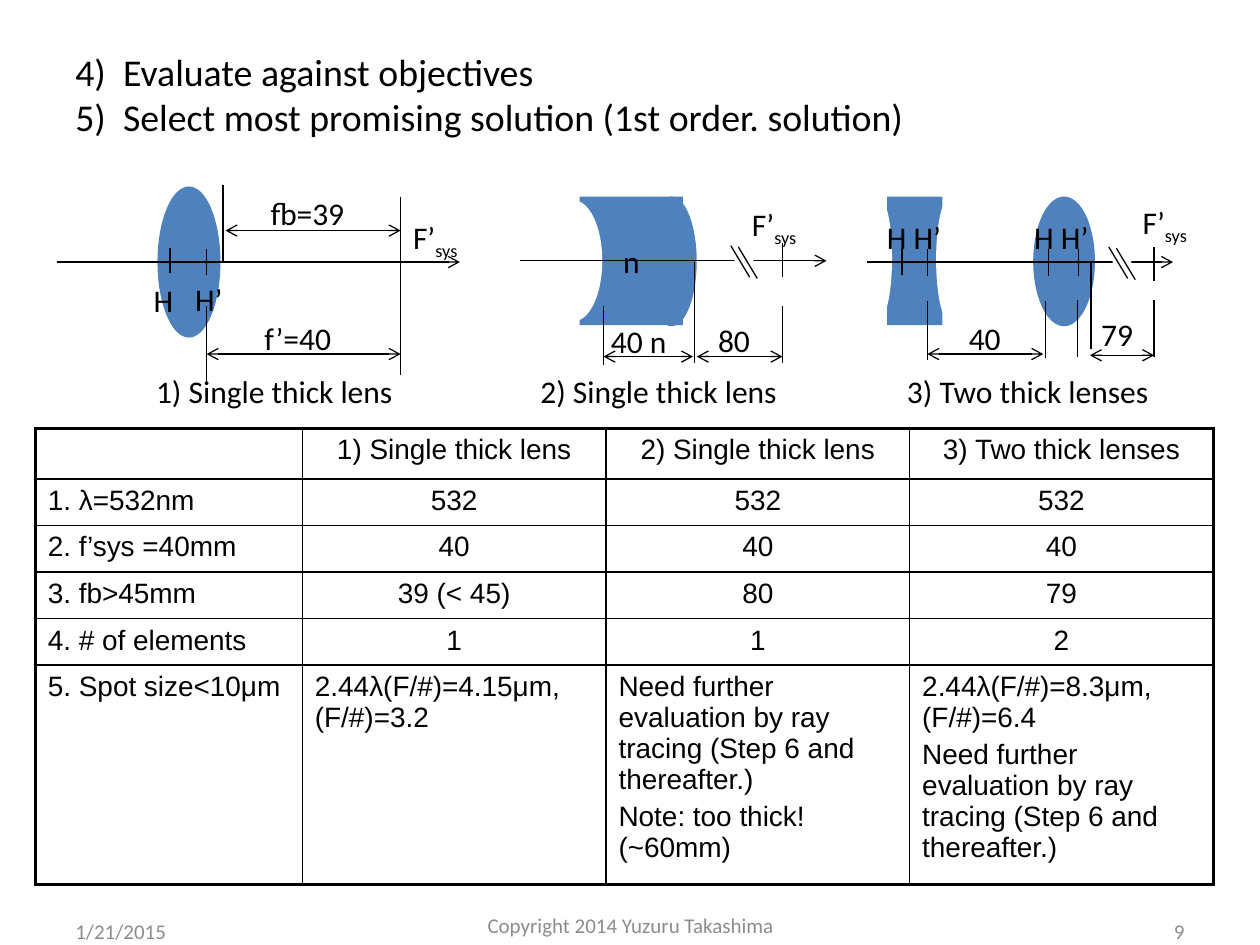
from lxml.etree import SubElement
from pptx import Presentation
from pptx.dml.color import RGBColor
from pptx.enum.shapes import MSO_CONNECTOR as CONN, MSO_SHAPE as SHAPE
from pptx.enum.text import MSO_ANCHOR as ANCHOR, PP_ALIGN as ALIGN
from pptx.oxml.ns import qn
from pptx.util import Inches, Pt

BLACK, WHITE, BLUE, GRAY = "000000", "FFFFFF", "4F81BD", "8C8C8C"
F_SYS = [("F’", 0), ("sys", -25000)]

LENSES = [
    (SHAPE.OVAL, 1.25, 1.48, 0.5, 1.2, BLUE),
    (SHAPE.OVAL, 5.13, 1.56, 0.4, 1.03, BLUE),
    (SHAPE.RECTANGLE, 4.6, 1.56, 0.82, 1.02, BLUE),
    (SHAPE.OVAL, 4.33, 1.59, 0.45, 0.96, WHITE),
    (SHAPE.OVAL, 8.2, 1.56, 0.49, 1.03, BLUE),
    (SHAPE.RECTANGLE, 7.04, 1.56, 0.44, 1.02, BLUE),
    (SHAPE.OVAL, 7.43, 1.58, 0.2, 0.96, WHITE),
    (SHAPE.OVAL, 6.88, 1.57, 0.2, 0.96, WHITE),
]
AXES = [(0.45, 3.65, 2.08), (4.13, 6.56, 2.07), (6.88, 9.31, 2.08)]
DIMENSIONS = [
    (1.64, 3.18, 2.81), (1.79, 3.18, 1.83), (4.79, 5.5, 2.83),
    (5.53, 6.21, 2.83), (7.36, 8.28, 2.81), (8.65, 9.16, 2.82),
]
VERTICALS = [
    (1.35, 1.97, 2.17), (1.64, 1.98, 2.18), (1.64, 2.43, 3.03),
    (3.18, 1.56, 2.98), (1.77, 1.47, 2.07),
    (4.79, 2.43, 2.9), (5.51, 2.08, 2.88), (6.21, 2.43, 2.88), (6.21, 1.93, 2.2),
    (7.16, 1.97, 2.18), (7.36, 1.98, 2.19), (8.32, 1.98, 2.19), (8.56, 1.98, 2.19),
    (7.36, 2.39, 2.86), (8.3, 2.39, 2.84), (8.55, 2.38, 2.83),
    (8.66, 2.08, 2.77), (9.16, 2.38, 2.83), (9.16, 1.96, 2.23),
]
BREAKS = [(5.8, 1.95), (8.8, 1.96)]
LABELS = [
    ("H", 1.12, 2.18, 0.38), ("H’", 1.45, 2.17, 0.44),
    ("f’=40", 2, 2.48, 0.75), ("fb=39", 2.05, 1.49, 0.83),
    ("40 n", 4.75, 2.51, 0.69), ("80", 5.6, 2.5, 0.48),
    ("40", 7.59, 2.48, 0.48), ("79", 8.64, 2.45, 0.48),
    ("H H’", 6.94, 1.68, 0.69), ("H H’", 8.11, 1.68, 0.69),
    ("1) Single thick lens", 1.14, 2.9, 2.3),
    ("2) Single thick lens", 4.19, 2.9, 2.3),
    ("3) Two thick lenses", 7.1, 2.9, 2.34),
    (F_SYS, 3.18, 1.68, 0.66), (F_SYS, 5.87, 1.58, 0.66), (F_SYS, 8.97, 1.56, 0.66),
]
RAY_TRACING = "Need further evaluation by ray tracing (Step 6 and thereafter.)"
ROWS = [
    ["", "1) Single thick lens", "2) Single thick lens", "3) Two thick lenses"],
    ["1. λ=532nm", "532", "532", "532"],
    ["2. f’sys =40mm", "40", "40", "40"],
    ["3. fb>45mm", "39 (< 45)", "80", "79"],
    ["4. # of elements", "1", "1", "2"],
    ["5. Spot size<10μm", "2.44λ(F/#)=4.15μm, (F/#)=3.2",
     RAY_TRACING + "\nNote: too thick! (~60mm)",
     "2.44λ(F/#)=8.3μm, (F/#)=6.4\n" + RAY_TRACING],
]


def rgb(value):
    """Turn a hex string into a colour."""
    return RGBColor.from_string(value)


def add_run(p, text, size=18, font="Calibri", color=BLACK, baseline=0):
    """Add one formatted run to a paragraph."""
    r = p.add_run()
    r.text = text
    r.font.size, r.font.name = Pt(size), font
    r.font.color.rgb = rgb(color)
    if baseline:
        r.font._element.set("baseline", str(baseline))


def add_label(s, content, x, y, w):
    """Add an unwrapped diagram label from a string or (text, baseline) runs."""
    tf = s.shapes.add_textbox(Inches(x), Inches(y), Inches(w), Inches(0.4)).text_frame
    tf.word_wrap = False
    for text, baseline in [(content, 0)] if isinstance(content, str) else content:
        add_run(tf.paragraphs[0], text, baseline=baseline)


def add_block(s, lines, box, size, color=BLACK, align=ALIGN.LEFT, bottom=0.05):
    """Add a wrapped, vertically centred text block."""
    tf = s.shapes.add_textbox(*map(Inches, box)).text_frame
    tf.word_wrap, tf.vertical_anchor = True, ANCHOR.MIDDLE
    tf.margin_bottom = Inches(bottom)
    for i, line in enumerate(lines):
        p = tf.add_paragraph() if i else tf.paragraphs[0]
        p.alignment = align
        add_run(p, line, size, color=color)


def add_solid(shapes, kind, x, y, w, h, color):
    """Add a borderless filled shape."""
    sp = shapes.add_shape(kind, Inches(x), Inches(y), Inches(w), Inches(h))
    sp.shadow.inherit = False
    sp.fill.solid()
    sp.fill.fore_color.rgb = rgb(color)
    sp.line.fill.background()
    return sp


def add_line(shapes, x1, y1, x2, y2, ends=()):
    """Add a thin black line with arrowheads at the named ends."""
    line = shapes.add_connector(CONN.STRAIGHT, *map(Inches, (x1, y1, x2, y2)))
    line.line.color.rgb = rgb(BLACK)
    line.line.width = Pt(0.75)
    ln = line.line._get_or_add_ln()
    for end in ends:
        SubElement(ln, qn(f"a:{end}"), type="arrow")
    SubElement(line._element.spPr, qn("a:effectLst"))


def add_break(s, x, y):
    """Add an axis break: a white patch with two slanted strokes."""
    shapes = s.shapes.add_group_shape().shapes
    add_solid(shapes, SHAPE.RECTANGLE, x + 0.03, y + 0.06, 0.15, 0.14, WHITE)
    for dx, dy in ((0, 0), (0.06, 0.01)):
        add_line(shapes, x + dx, y + dy, x + dx + 0.15, y + dy + 0.25)


def set_borders(cell, widths):
    """Set black borders, given in points by side, ahead of the cell fill."""
    tc_pr = cell._tc.get_or_add_tcPr()
    for i, (side, width) in enumerate(widths.items()):
        ln = SubElement(tc_pr, qn(f"a:ln{side}"), w=str(Pt(width)))
        fill = SubElement(ln, qn("a:solidFill"))
        SubElement(fill, qn("a:srgbClr"), val=BLACK)
        tc_pr.insert(i, ln)


def add_comparison(s):
    """Add the table that compares the three solutions."""
    n_rows, n_cols = len(ROWS), len(ROWS[0])
    table = s.shapes.add_table(
        n_rows, n_cols, Inches(0.28), Inches(3.4), Inches(9.35), Inches(3.59)).table
    table.first_row = table.horz_banding = False
    for j, col in enumerate(table.columns):
        col.width = Inches(2.41 if j else 2.12)
    for i, row in enumerate(table.rows):
        last = i == n_rows - 1
        row.height = Inches(1.74 if last else 0.37)
        for j, text in enumerate(ROWS[i]):
            cell = table.cell(i, j)
            cell.fill.background()
            edges = {"L": j == 0, "R": j == n_cols - 1, "T": i == 0, "B": last}
            set_borders(cell, {k: 2.25 if outer else 1 for k, outer in edges.items()})
            for n, line in enumerate(text.split("\n") if text else []):
                p = cell.text_frame.add_paragraph() if n else cell.text_frame.paragraphs[0]
                p.alignment = ALIGN.CENTER if j and not last else ALIGN.LEFT
                if n:
                    p.space_before = Pt(3)
                add_run(p, line, 16, "Arial")


def main():
    """Build the slide and save it."""
    prs = Presentation()
    prs.slide_width, prs.slide_height = Inches(10), Inches(7.5)
    s = prs.slides.add_slide(prs.slide_layouts[6])
    add_block(s, ["4)  Evaluate against objectives",
                  "5)  Select most promising solution (1st order. solution)"],
              (0.5, 0.3, 9, 1.25), 21.6, bottom=0.41)
    for lens in LENSES:
        sp = add_solid(s.shapes, *lens)
        if lens[1] == 4.6:
            sp.text_frame.word_wrap = False
            sp.text_frame.paragraphs[0].alignment = ALIGN.CENTER
            add_run(sp.text_frame.paragraphs[0], "n")
    for x1, x2, y in AXES:
        add_line(s.shapes, x1, y, x2, y, ["tailEnd"])
    for x1, x2, y in DIMENSIONS:
        add_line(s.shapes, x1, y, x2, y, ["headEnd", "tailEnd"])
    for x, y1, y2 in VERTICALS:
        add_line(s.shapes, x, y1, x, y2)
    for x, y in BREAKS:
        add_break(s, x, y)
    for label in LABELS:
        add_label(s, *label)
    add_comparison(s)
    add_block(s, ["1/21/2015"], (0.5, 7.13, 2.33, 0.52), 12, GRAY)
    add_block(s, ["Copyright 2014 Yuzuru Takashima"], (3.42, 7.08, 3.17, 0.52), 12, GRAY, ALIGN.CENTER)
    add_block(s, ["9"], (7.17, 7.13, 2.33, 0.52), 12, GRAY, ALIGN.RIGHT)
    prs.save("out.pptx")


if __name__ == "__main__":
    main()
